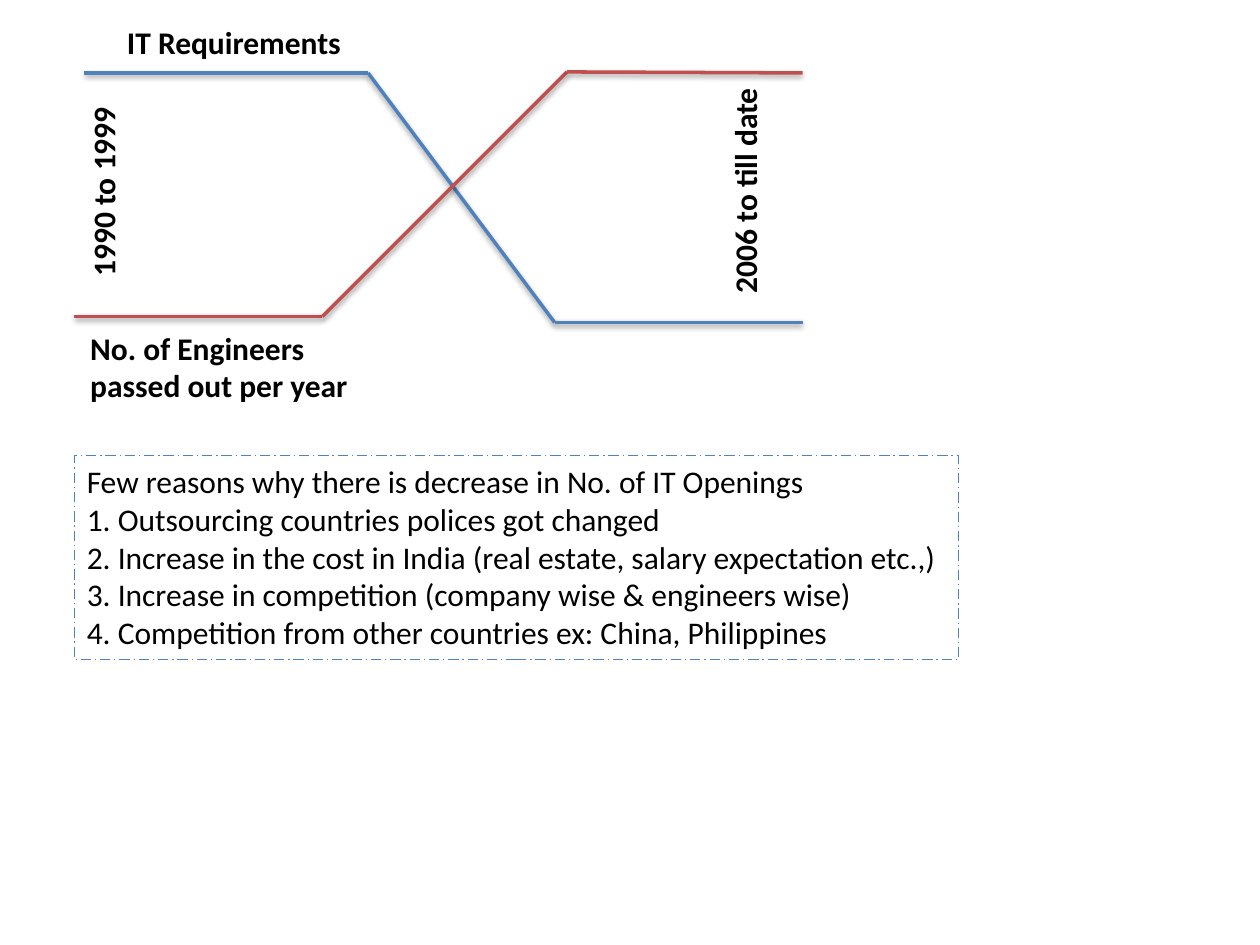
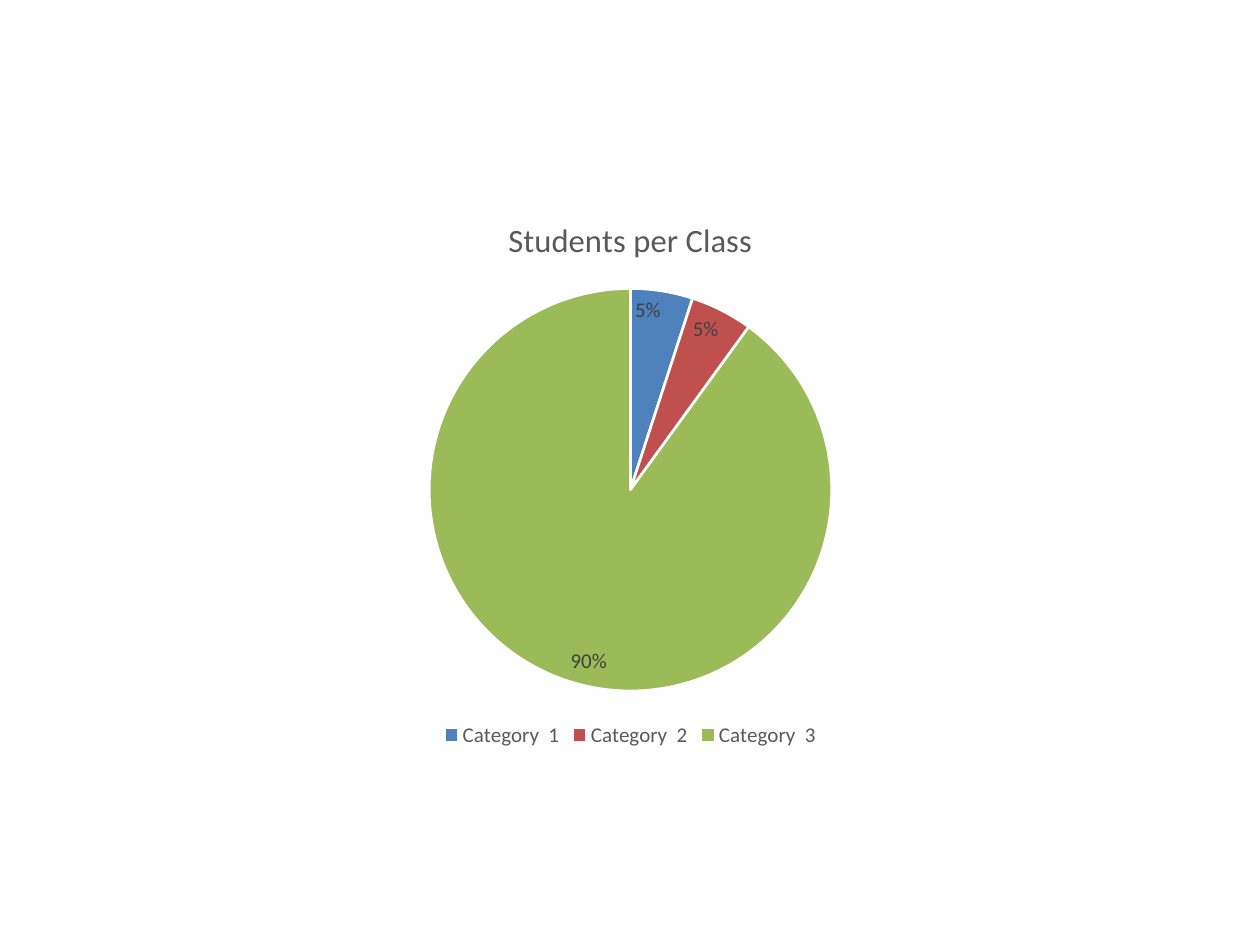
"""Builds two slides on IT openings: a crossing trend sketch and a pie of students."""
from dataclasses import dataclass
from itertools import pairwise

from lxml import etree
from pptx import Presentation
from pptx import util as u
from pptx.chart.data import CategoryChartData
from pptx.dml.color import RGBColor
from pptx.enum import chart as ch, dml, shapes, text
from pptx.oxml import ns

BLUE = RGBColor(0x4F, 0x81, 0xBD)
RED = RGBColor(0xC0, 0x50, 0x4D)
GREEN = RGBColor(0x9B, 0xBB, 0x59)
WHITE = RGBColor(0xFF, 0xFF, 0xFF)
BLACK = RGBColor(0, 0, 0)
LABEL_GREY = RGBColor(0x40, 0x40, 0x40)
TITLE_GREY = RGBColor(0x59, 0x59, 0x59)
FONT = "Calibri"
BLANK_LAYOUT = 6


@dataclass(frozen=True)
class Box:
    left: float
    top: float
    width: float
    height: float

    def lengths(self) -> tuple:
        return tuple(u.Cm(v) for v in (self.left, self.top, self.width, self.height))


@dataclass(frozen=True)
class Trend:
    color: RGBColor
    corners: tuple


@dataclass(frozen=True)
class Caption:
    box: Box
    lines: tuple
    rotation: float = 0


TRENDS = (
    Trend(BLUE, ((1.7, 1.47), (7.42, 1.47), (11.18, 6.5), (16.18, 6.5))),
    Trend(RED, ((1.5, 6.38), (6.5, 6.38), (11.43, 1.45), (16.18, 1.47))),
)
CAPTIONS = (
    Caption(Box(2.31, 0.33, 4.88, 1.03), ("IT Requirements",)),
    Caption(Box(1.57, 6.5, 5.77, 1.8), ("No. of Engineers", "passed out per year")),
    Caption(Box(0.1, 3.33, 3.96, 1.03), ("1990 to 1999",), 270),
    Caption(Box(12.67, 3.3, 4.7, 1.03), ("2006 to till date",), 270),
)
REASONS_BOX = Box(1.5, 9.19, 17.83, 4.11)
REASONS = (
    "Few reasons why there is decrease in No. of IT Openings",
    "1. Outsourcing countries polices got changed",
    "2. Increase in the cost in India (real estate, salary expectation etc.,)",
    "3. Increase in competition (company wise & engineers wise)",
    "4. Competition from other countries ex: China, Philippines",
)
CHART_BOX = Box(4.24, 3.89, 16.94, 11.28)
CHART_TITLE = "Students per Class"
SHARES = (("Category  1", 5, BLUE), ("Category  2", 5, RED), ("Category  3", 90, GREEN))


def style_font(font, size: float, color: RGBColor, bold: bool = False) -> None:
    """Sets the shared typeface with the given size, colour and weight."""
    font.name, font.size, font.bold = FONT, u.Pt(size), bold
    font.color.rgb = color


def write_lines(frame, lines: tuple, bold: bool = False) -> None:
    """Writes one left-aligned paragraph per line."""
    frame.word_wrap = False
    frame.auto_size = text.MSO_AUTO_SIZE.SHAPE_TO_FIT_TEXT
    for index, line in enumerate(lines):
        paragraph = frame.add_paragraph() if index else frame.paragraphs[0]
        paragraph.alignment = text.PP_ALIGN.LEFT
        run = paragraph.add_run()
        run.text = line
        style_font(run.font, 18, BLACK, bold)


def add_soft_shadow(segment) -> None:
    """Gives a connector a soft shadow straight below it."""
    effects = etree.SubElement(segment._element.spPr, ns.qn("a:effectLst"))
    shadow = etree.SubElement(effects, ns.qn("a:outerShdw"), blurRad="40000",
                              dist="20000", dir="5400000", rotWithShape="0")
    tint = etree.SubElement(shadow, ns.qn("a:srgbClr"), val=str(BLACK))
    etree.SubElement(tint, ns.qn("a:alpha"), val="38000")


def draw_trend(slide, trend: Trend) -> None:
    """Joins the corners of a trend with straight segments."""
    for start, end in pairwise(trend.corners):
        segment = slide.shapes.add_connector(
            shapes.MSO_CONNECTOR.STRAIGHT, *(u.Cm(v) for v in start + end))
        segment.line.color.rgb = trend.color
        segment.line.width = u.Pt(2)
        add_soft_shadow(segment)


def draw_caption(slide, caption: Caption) -> None:
    """Places a bold caption, turned if needed."""
    label = slide.shapes.add_textbox(*caption.box.lengths())
    label.rotation = caption.rotation
    write_lines(label.text_frame, caption.lines, bold=True)


def draw_reasons(slide) -> None:
    """Lists the reasons inside a dashed frame."""
    panel = slide.shapes.add_shape(shapes.MSO_SHAPE.RECTANGLE, *REASONS_BOX.lengths())
    panel.shadow.inherit = False
    panel.fill.background()
    panel.line.color.rgb = BLUE
    panel.line.width = u.Pt(0.75)
    panel.line.dash_style = dml.MSO_LINE.LONG_DASH_DOT
    panel.text_frame.vertical_anchor = text.MSO_ANCHOR.TOP
    write_lines(panel.text_frame, REASONS)


def draw_class_pie(slide) -> None:
    """Draws the share of students in each category."""
    data = CategoryChartData()
    data.categories = [name for name, _, _ in SHARES]
    data.add_series(CHART_TITLE, [value for _, value, _ in SHARES])
    pie = slide.shapes.add_chart(
        ch.XL_CHART_TYPE.PIE, *CHART_BOX.lengths(), data).chart
    style_font(pie.font, 10, BLACK)

    pie.has_title = True
    heading = pie.chart_title.text_frame.paragraphs[0].add_run()
    heading.text = CHART_TITLE
    style_font(heading.font, 18.6, TITLE_GREY)
    pie.chart_title.include_in_layout = False

    pie.has_legend = True
    pie.legend.position = ch.XL_LEGEND_POSITION.BOTTOM
    pie.legend.include_in_layout = False
    style_font(pie.legend.font, 12, TITLE_GREY)

    plot = pie.plots[0]
    plot.vary_by_categories = True
    for index, (_, _, color) in enumerate(SHARES):
        slice_format = plot.series[0].points[index].format
        slice_format.fill.solid()
        slice_format.fill.fore_color.rgb = color
        slice_format.line.color.rgb = WHITE
        slice_format.line.width = u.Pt(1.5)

    plot.has_data_labels = True
    labels = plot.data_labels
    labels.show_percentage = True
    labels.show_value = False
    labels.number_format, labels.number_format_is_linked = "0%", False
    labels.position = ch.XL_LABEL_POSITION.INSIDE_END
    style_font(labels.font, 12, LABEL_GREY)


def main() -> None:
    """Assembles and saves the presentation."""
    deck = Presentation()
    deck.slide_width, deck.slide_height = u.Cm(25.4), u.Cm(19.05)
    layout = deck.slide_layouts[BLANK_LAYOUT]

    openings = deck.slides.add_slide(layout)
    for trend in TRENDS:
        draw_trend(openings, trend)
    for caption in CAPTIONS:
        draw_caption(openings, caption)
    draw_reasons(openings)

    draw_class_pie(deck.slides.add_slide(layout))
    deck.save("out.pptx")


main()
